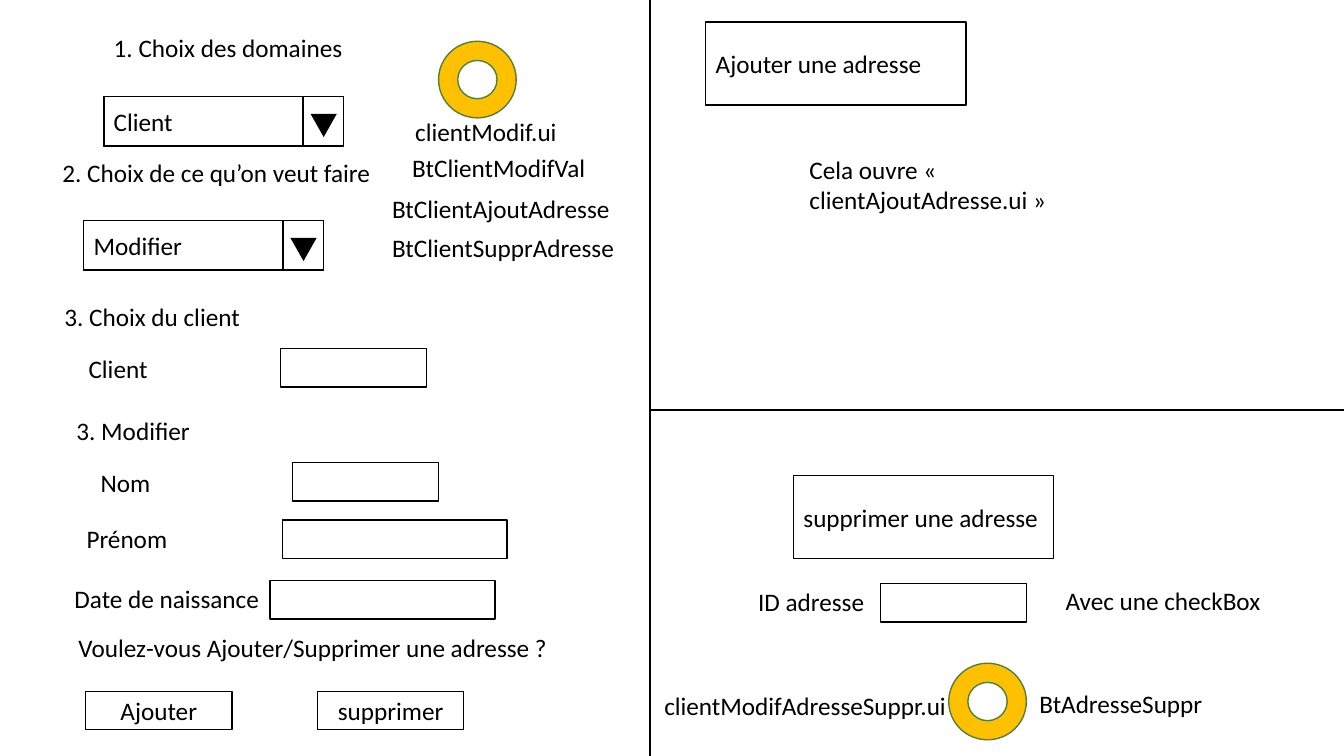
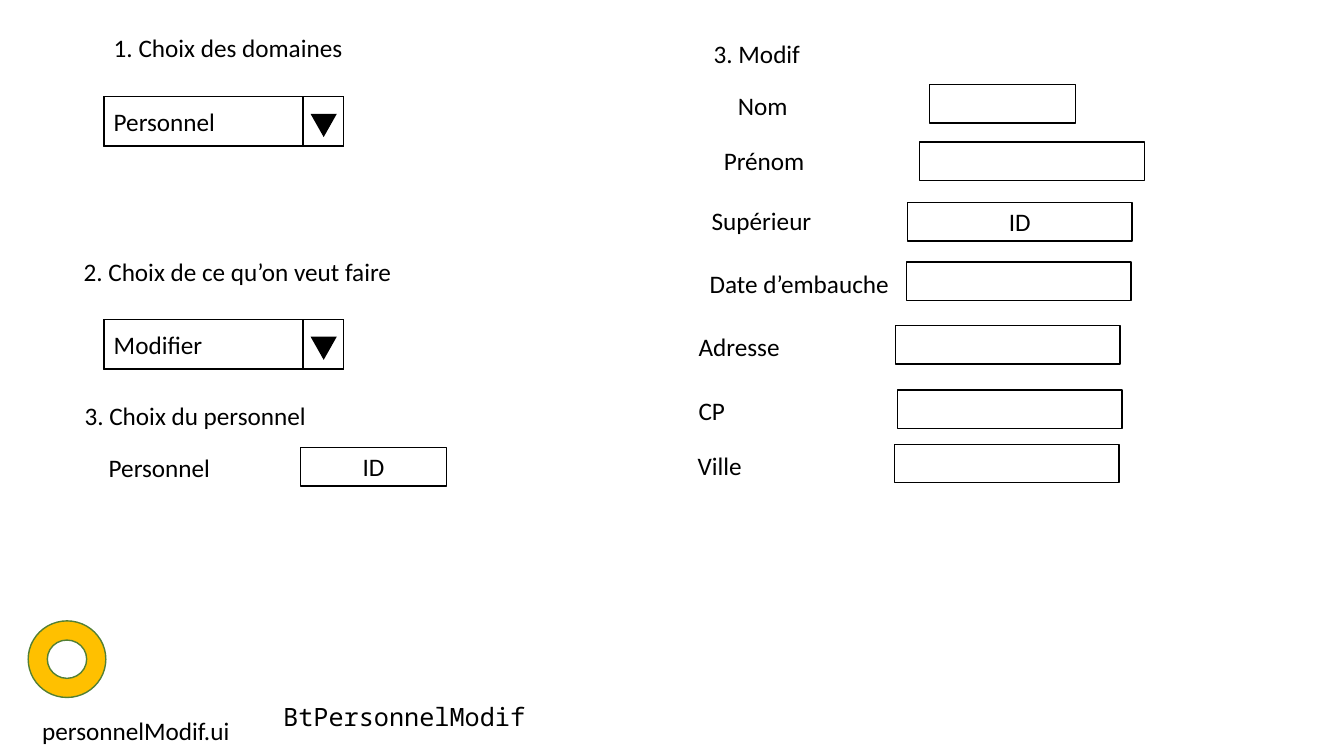
from pptx import Presentation
from pptx.dml.color import RGBColor
from pptx.enum.shapes import MSO_CONNECTOR as CONNECTOR, MSO_SHAPE as SHAPE
from pptx.enum.text import MSO_ANCHOR as ANCHOR, PP_ALIGN as ALIGN
from pptx.oxml.ns import qn
from pptx.util import Inches, Pt
from lxml import etree

COLORS = {"ink": "000000", "ring": "FFC000", "ring_edge": "538035"}
FONT = {"name": "Calibri", "size": Pt(18)}
MONO = {**FONT, "name": "Noto Sans Mono"}
SHORT, LONG = 1.45, 2.23  # field widths
FIELD_H, TEXT_H = 0.38, 0.4


def rgb(name):
    return RGBColor.from_string(COLORS[name])


class Mockup:
    """Style of the form sketches, and the slide being drawn."""

    def __init__(self):
        self.prs = Presentation()
        self.prs.slide_width = Inches(13.33)
        self.prs.slide_height = Inches(7.5)
        self.slide = None

    def new_slide(self):
        self.slide = self.prs.slides.add_slide(self.prs.slide_layouts[6])

    def set_text(self, tf, text, align=ALIGN.LEFT, font=FONT):
        p = tf.paragraphs[0]
        p.alignment = align
        r = p.add_run()
        r.text = text
        for key, value in font.items():
            setattr(r.font, key, value)
        r.font.color.rgb = rgb("ink")

    def shape(self, kind, x, y, w, h, fill=None, line=None):
        sp = self.slide.shapes.add_shape(
            kind, Inches(x), Inches(y), Inches(w), Inches(h))
        sp.shadow.inherit = False
        if fill:
            sp.fill.solid()
            sp.fill.fore_color.rgb = rgb(fill)
        else:
            sp.fill.background()
        if line:
            sp.line.color.rgb = rgb(line)
            sp.line.width = Pt(1)
        else:
            sp.line.fill.background()
        return sp

    def label(self, x, y, text, w=LONG, h=TEXT_H, wrap=True, font=FONT):
        sp = self.slide.shapes.add_textbox(
            Inches(x), Inches(y), Inches(w), Inches(h))
        sp.text_frame.word_wrap = wrap
        self.set_text(sp.text_frame, text, font=font)

    def heading(self, x, y, text, w):
        self.label(x, y, text, w, wrap=False)

    def box(self, x, y, w, h=FIELD_H, text="", align=ALIGN.CENTER):
        sp = self.shape(SHAPE.RECTANGLE, x, y, w, h, line="ink")
        if text:
            sp.text_frame.vertical_anchor = ANCHOR.MIDDLE
            self.set_text(sp.text_frame, text, align)

    def button(self, x, y, text):
        self.box(x, y, 2.58, 0.82, text, ALIGN.LEFT)

    def dropdown(self, x, y, text):
        self.box(x, y, 2.38, 0.49)
        self.box(x + 1.98, y, 0.4, 0.49)
        arrow = self.shape(SHAPE.ISOSCELES_TRIANGLE, x + 2.05, y + 0.17,
                           0.26, 0.23, fill="ink")
        arrow.rotation = 180
        self.box(x, y, 1.97, 0.49, text, ALIGN.LEFT)

    def field(self, text, x, y, box_x, box_y, box_w=LONG, value=""):
        self.box(box_x, box_y, box_w, text=value)
        self.label(x, y, text, 2.05)

    def ring(self, x, y):
        self.shape(SHAPE.DONUT, x, y, 0.77, 0.76, "ring", "ring_edge")

    def divider(self, x1, y1, x2, y2):
        line = self.slide.shapes.add_connector(
            CONNECTOR.STRAIGHT, Inches(x1), Inches(y1), Inches(x2), Inches(y2))
        line.line.color.rgb = rgb("ink")
        line.line.width = Pt(1.5)
        etree.SubElement(line._element.spPr, qn("a:effectLst"))

    def choices(self, domain, action_x, action_y, action_box):
        """Steps 1 and 2: the domain list, then the action list."""
        self.heading(1.03, 0.27, "1. Choix des domaines", 2.5)
        self.dropdown(1.03, 0.96, domain)
        self.heading(action_x, action_y, "2. Choix de ce qu’on veut faire", 3.31)
        self.dropdown(*action_box, "Modifier")


def client_slide(m):
    m.new_slide()
    m.choices("Client", 0.52, 1.51, (0.83, 2.19))
    m.heading(0.54, 2.94, "3. Choix du client", 1.96)
    m.field("Client", 0.78, 3.46, 2.78, 3.46, SHORT)

    m.heading(0.66, 4.07, "3. Modifier", 1.34)
    m.field("Nom", 0.9, 4.59, 2.9, 4.59, SHORT)
    m.field("Prénom", 0.76, 5.14, 2.8, 5.16)
    m.field("Date de naissance", 0.64, 5.74, 2.68, 5.76)
    m.label(0.68, 6.22, "Voulez-vous Ajouter/Supprimer une adresse ?", 5.26)
    for x, text in ((0.85, "Ajouter"), (3.15, "supprimer")):
        m.box(x, 6.86, SHORT, text=text)

    m.ring(4.35, 0.41)
    for x, y, text in (
        (4.02, 1.1, "clientModif.ui"),
        (3.99, 1.46, "BtClientModifVal"),
        (3.79, 1.87, "BtClientAjoutAdresse"),
        (3.79, 2.26, "BtClientSupprAdresse"),
    ):
        m.label(x, y, text, 2.63)

    m.divider(6.45, 0, 6.45, 7.5)
    m.divider(13.33, 4.07, 6.45, 4.07)

    m.button(7, 0.22, "Ajouter une adresse")
    m.label(7.93, 1.48, "Cela ouvre «  clientAjoutAdresse.ui »", 3.25, 0.7)

    m.button(7.87, 4.72, "supprimer une adresse")
    m.field("ID adresse", 7.42, 5.77, 8.73, 5.79, SHORT)
    m.label(10.47, 5.76, "Avec une checkBox", 2.64)
    m.ring(9.41, 6.58)
    m.label(6.49, 6.8, "clientModifAdresseSuppr.ui", 3.37)
    m.label(10.21, 6.78, "BtAdresseSuppr")


def staff_slide(m):
    m.new_slide()
    m.choices("Personnel", 0.73, 2.49, (1.03, 3.17))
    m.heading(0.74, 3.92, "3. Choix du personnel", 2.43)
    m.field("Personnel", 0.98, 4.44, 2.98, 4.44, SHORT, "ID")

    m.heading(6.98, 0.33, "3. Modif", 1.07)
    for row in (
        ("Nom", 7.22, 0.85, 9.22, 0.84, SHORT),
        ("Prénom", 7.08, 1.39, 9.12, 1.41),
        ("Supérieur", 6.96, 1.99, 9, 2.01, LONG, "ID"),
        ("Date d’embauche", 6.94, 2.61, 8.99, 2.6),
        ("Adresse", 6.83, 3.24, 8.88, 3.23),
        ("CP", 6.83, 3.87, 8.9, 3.87),
        ("Ville", 6.82, 4.42, 8.87, 4.41),
    ):
        m.field(*row)

    m.ring(0.28, 6.16)
    m.label(0.32, 7.05, "personnelModif.ui", 2.85)
    m.label(2.71, 6.91, "BtPersonnelModif", 3.41, font=MONO)


def main():
    m = Mockup()
    client_slide(m)
    staff_slide(m)
    m.prs.save("out.pptx")


if __name__ == "__main__":
    main()
